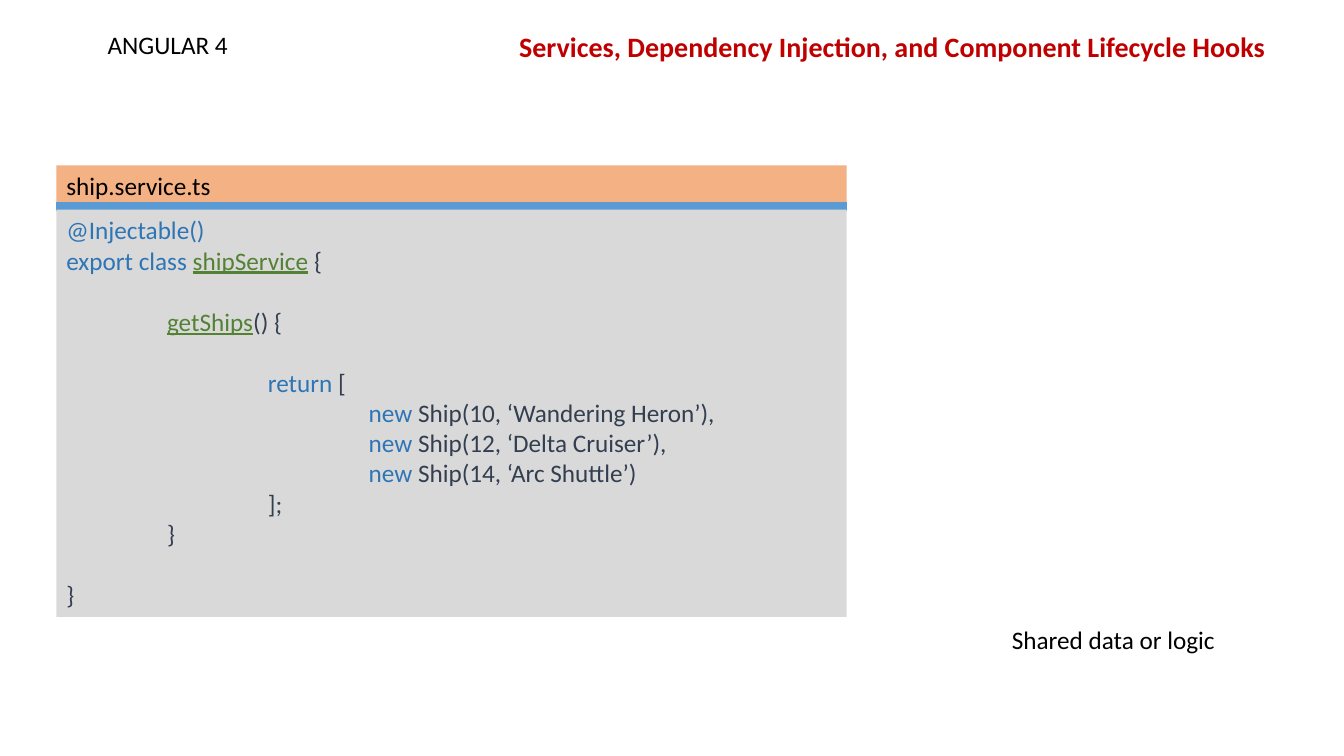
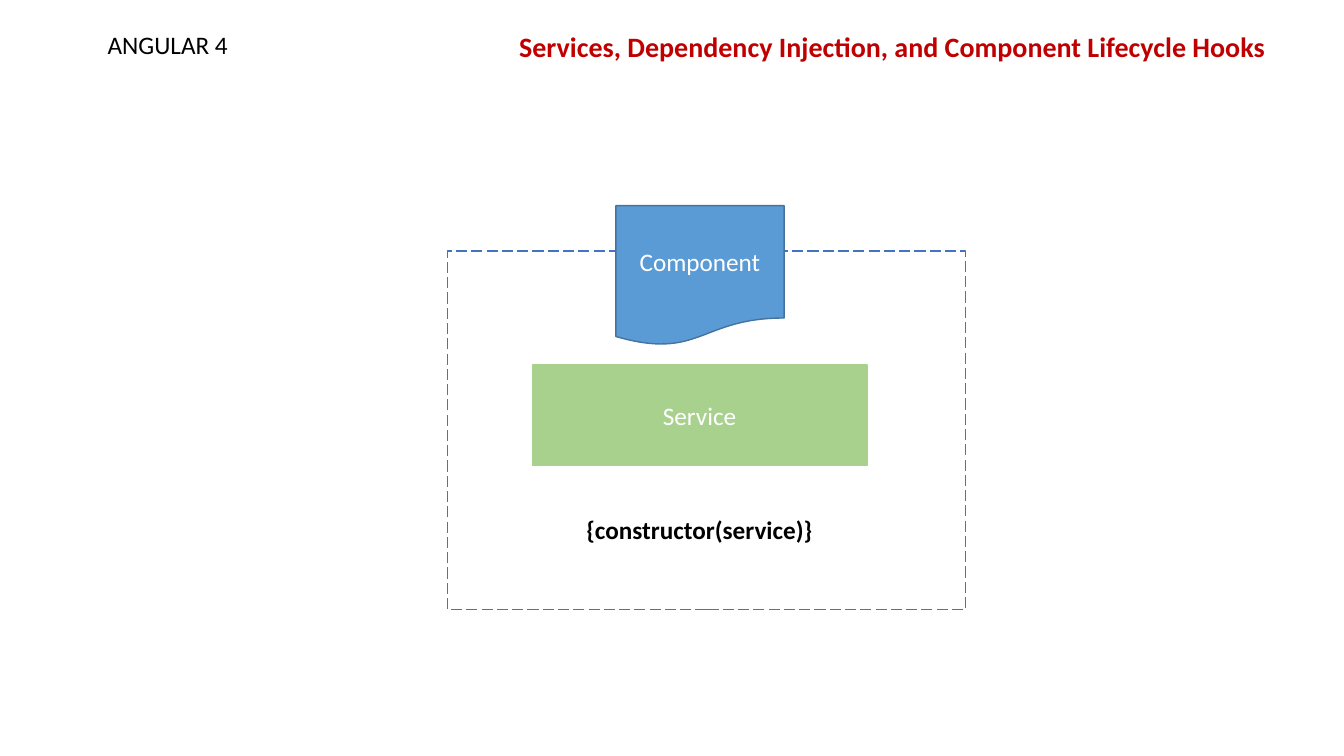
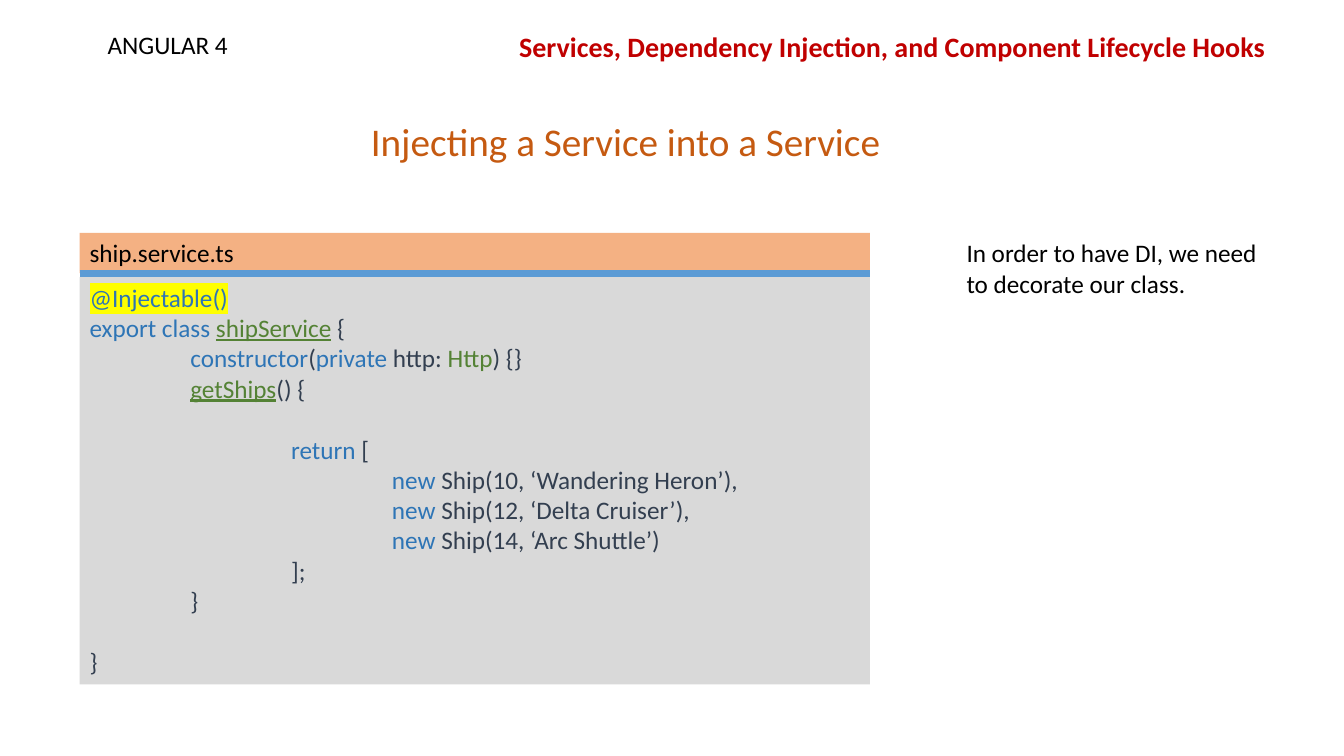
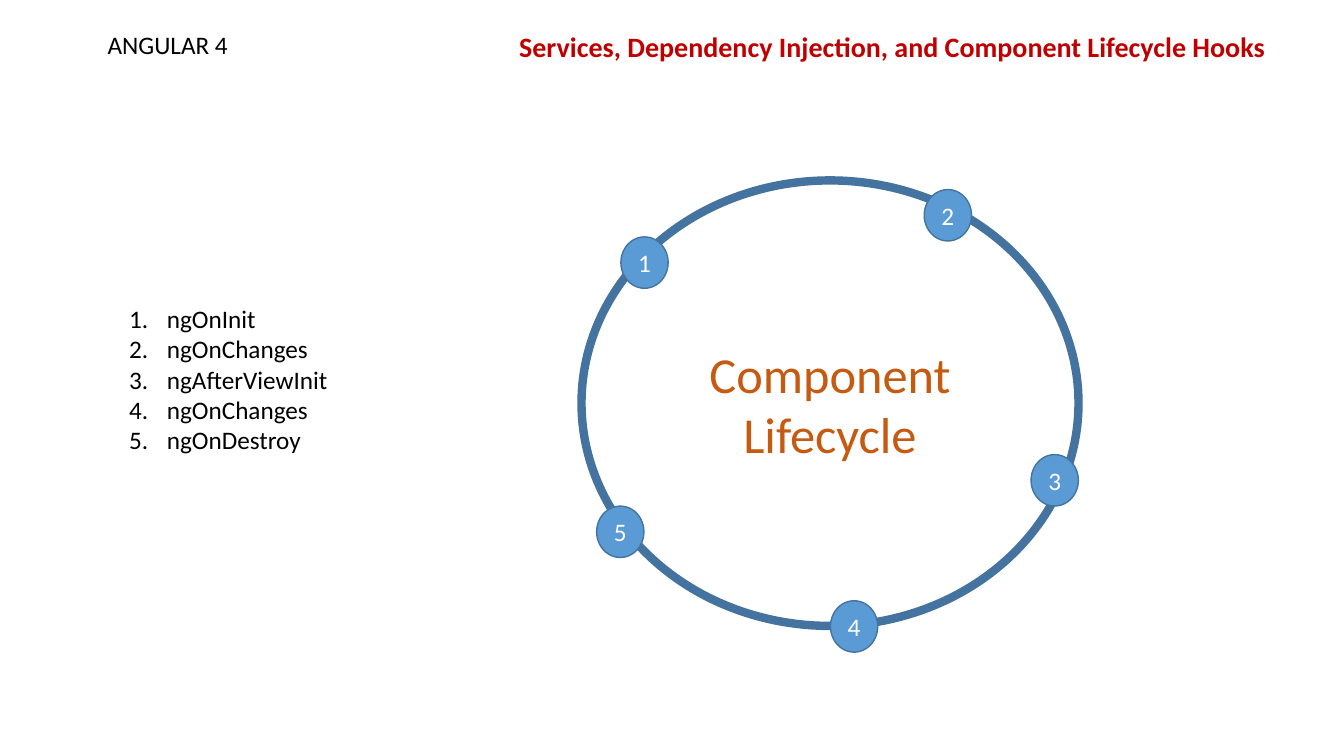
import pptx
import pptx.dml.color
import pptx.enum.dml
import pptx.enum.shapes
import pptx.enum.text
import pptx.oxml
import pptx.oxml.ns
import pptx.util

Pt = pptx.util.Pt
SHAPE = pptx.enum.shapes.MSO_SHAPE
ALIGN = pptx.enum.text.PP_ALIGN
ANCHOR = pptx.enum.text.MSO_ANCHOR
qn = pptx.oxml.ns.qn

FONT = "Calibri"
BLACK, WHITE, RED, RUST = "000000", "FFFFFF", "C00000", "C55A11"
BLUE, DARK_BLUE, DASH_BLUE = "5B9BD5", "43739E", "4472C4"
PEACH, GRAY, GREEN, YELLOW = "F4B183", "D9D9D9", "A9D18E", "FFFF00"
KEYWORD, NAME, CODE = "2E75B6", "548235", "333F50"
LINE_HEIGHT = 22
TAB = 72
TITLE = "Services, Dependency Injection, and Component Lifecycle Hooks"

INJECTABLE = "@Injectable()"
CLASS_LINE = (0, 0, [("export class ", KEYWORD), ("shipService", NAME), (" {", CODE)])
GET_SHIPS = [("getShips", NAME), ("() {", CODE)]
SHIPS = ["Ship(10, ‘Wandering Heron’),", "Ship(12, ‘Delta Cruiser’),", "Ship(14, ‘Arc Shuttle’)"]
RETURN_LINES = [
    (2, 1, [("return", KEYWORD), (" [", CODE)]),
    *[(3, 0, [("new ", KEYWORD), (ship, CODE)]) for ship in SHIPS],
    (2, 0, [("];", CODE)]),
    (1, 0, [("}", CODE)]),
    (0, 1, [("}", CODE)]),
]
CONSTRUCTOR_LINE = (1, 0, [("constructor", KEYWORD), ("(", CODE), ("private", KEYWORD),
                           (" http: ", CODE), ("Http", NAME), (") {}", CODE)])


def rgb(value):
    """Turn a hex string into a colour."""
    return pptx.dml.color.RGBColor.from_string(value)


def write(p, text, size=18, color=BLACK, bold=False, underline=False, highlight=None):
    """Add a formatted run to a paragraph."""
    r = p.add_run()
    r.text = text
    f = r.font
    f.name, f.size, f.bold, f.underline = FONT, Pt(size), bold, underline
    f.color.rgb = rgb(color)
    if highlight:
        mark = pptx.oxml.parse_xml(
            '<a:highlight xmlns:a="http://schemas.openxmlformats.org/drawingml/2006/main">'
            f'<a:srgbClr val="{highlight}"/></a:highlight>')
        r._r.rPr.find(qn("a:solidFill")).addnext(mark)


def paragraph(tf, first, align=ALIGN.LEFT, gap=0):
    """Return the first or a new paragraph with its spacing set."""
    p = tf.paragraphs[0] if first else tf.add_paragraph()
    p.alignment = align
    p.space_before = Pt(gap)
    return p


def fill_text(sp, lines, align=ALIGN.LEFT, anchor=ANCHOR.TOP, wrap=True, **style):
    """Write plain lines into a shape."""
    tf = sp.text_frame
    tf.auto_size = pptx.enum.text.MSO_AUTO_SIZE.NONE
    tf.word_wrap, tf.vertical_anchor = wrap, anchor
    for i, line in enumerate(lines):
        write(paragraph(tf, i == 0, align), line, **style)


def place(sp, x, y, w, h):
    """Move and size a shape in points."""
    sp.left, sp.top, sp.width, sp.height = Pt(x), Pt(y), Pt(w), Pt(h)


def add_text(s, box, text, **style):
    """Add a text box."""
    sp = s.shapes.add_textbox(*map(Pt, box))
    fill_text(sp, [text], **style)
    return sp


def add_shape(s, kind, box, fill=None, line=None, width=1):
    """Add a preset shape with optional fill and outline."""
    sp = s.shapes.add_shape(kind, *map(Pt, box))
    sp.shadow.inherit = False
    if fill:
        sp.fill.solid()
        sp.fill.fore_color.rgb = rgb(fill)
    else:
        sp.fill.background()
    if line:
        sp.line.color.rgb = rgb(line)
        sp.line.width = Pt(width)
    else:
        sp.line.fill.background()
    return sp


def add_label(s, kind, box, lines, color=WHITE, size=18, **look):
    """Add a shape with centred text."""
    sp = add_shape(s, kind, box, **look)
    fill_text(sp, lines, ALIGN.CENTER, ANCHOR.MIDDLE, color=color, size=size)


def add_slide(prs, layout=5):
    """Add a slide with the shared title."""
    s = prs.slides.add_slide(prs.slide_layouts[layout])
    place(s.shapes.title, 363.6, 17.3, 552.2, 31.7)
    fill_text(s.shapes.title, [TITLE], wrap=False, size=20, color=RED, bold=True)
    return s


def brand_master(prs, s):
    """Put the course label on the slide master."""
    sp = add_text(s, (69.8, 17.3, 100.8, 28.8), "ANGULAR 4")
    prs.slide_master.shapes._spTree.append(sp._element)


def code_panel(s, x, y, lines, w=564.5, highlight=None):
    """Draw a file header, a rule and the code below it."""
    header = add_shape(s, SHAPE.RECTANGLE, (x, y, w, 28.8), PEACH)
    fill_text(header, ["ship.service.ts"])
    rule_y = Pt(y + 29.5)
    rule = s.shapes.add_connector(pptx.enum.shapes.MSO_CONNECTOR.STRAIGHT,
                                  Pt(x), rule_y, Pt(x + w), rule_y)
    rule.line.color.rgb = rgb(BLUE)
    rule.line.width = Pt(6)
    rule._element.spPr.append(pptx.oxml.parse_xml(
        '<a:effectLst xmlns:a="http://schemas.openxmlformats.org/drawingml/2006/main"/>'))
    body = add_shape(s, SHAPE.RECTANGLE, (x, y + 31.7, w, 290.9), GRAY)
    tf = body.text_frame
    tf.word_wrap, tf.vertical_anchor = True, ANCHOR.TOP
    write(paragraph(tf, True), INJECTABLE, color=KEYWORD, highlight=highlight)
    for level, gap, runs in lines:
        p = paragraph(tf, False, gap=gap * LINE_HEIGHT)
        p._p.get_or_add_pPr().set("marL", str(Pt(level * TAB)))
        for text, color in runs:
            write(p, text, color=color, underline=color == NAME and text != "Http")


def component_box(s, x, y, w, h):
    """Draw a component that receives a service."""
    frame = add_shape(s, SHAPE.RECTANGLE, (x, y, w, h), line=DASH_BLUE)
    frame.line.dash_style = pptx.enum.dml.MSO_LINE.LONG_DASH
    add_label(s, SHAPE.FLOWCHART_DOCUMENT, (x + 120.2, y - 32.4, 120.2, 100.1),
              ["Component"], fill=BLUE, line=DARK_BLUE)
    add_label(s, SHAPE.RECTANGLE, (x + 60.5, y + 81.4, 239, 72), ["Service"],
              fill=GREEN, line=GREEN)
    add_text(s, (x + 51.8, y + 184.3, 256.3, 28.8), "{constructor(service)}",
             align=ALIGN.CENTER, bold=True)


def hook_list(s, box, hooks):
    """Fill the body placeholder with a numbered list."""
    sp = s.placeholders[1]
    place(sp, *box)
    fill_text(sp, hooks)
    for p in sp.text_frame.paragraphs:
        pPr = p._p.get_or_add_pPr()
        pPr.set("marL", str(Pt(27)))
        pPr.set("indent", str(Pt(-27)))
        font = pptx.oxml.ns.nsdecls("a")
        pPr.append(pptx.oxml.parse_xml(f'<a:buFont {font} typeface="{FONT}"/>'))
        pPr.append(pptx.oxml.parse_xml(f'<a:buAutoNum {font} type="arabicPeriod"/>'))


def lifecycle_ring(s, x, y, w, h):
    """Draw the ring and its numbered stops."""
    add_label(s, SHAPE.OVAL, (x, y, w, h), ["Component", "Lifecycle"],
              color=RUST, size=36, line=DARK_BLUE, width=6)
    stops = [(28.1, 40.3), (244.8, 6.5), (321.1, 195.8), (177.8, 300.2), (10.8, 232.6)]
    for number, (dx, dy) in enumerate(stops, 1):
        add_label(s, SHAPE.OVAL, (x + dx, y + dy, 33.8, 36.7), [str(number)],
                  fill=BLUE, line=DARK_BLUE)


def main():
    """Build and save the slides."""
    prs = pptx.Presentation()
    prs.slide_width, prs.slide_height = Pt(960), Pt(540)

    s = add_slide(prs)
    brand_master(prs, s)
    code_panel(s, 40.3, 118.1, [CLASS_LINE, (1, 1, GET_SHIPS), *RETURN_LINES])
    add_text(s, (715.7, 442.1, 176.4, 28.8), "Shared data or logic")

    s = add_slide(prs)
    component_box(s, 319.7, 179.3, 370.1, 256.3)

    s = add_slide(prs)
    code_panel(s, 56.9, 166.3,
               [CLASS_LINE, CONSTRUCTOR_LINE, (1, 0, GET_SHIPS), *RETURN_LINES],
               highlight=YELLOW)
    add_text(s, (257.8, 80.6, 388.8, 41), "Injecting a Service into a Service",
             size=28, color=RUST)
    add_text(s, (683.3, 166.3, 223.9, 51.1),
             "In order to have DI, we need to decorate our class.")

    s = add_slide(prs, layout=1)
    hook_list(s, (85, 213.1, 256.3, 116.6),
              ["ngOnInit", "ngOnChanges", "ngAfterViewInit", "ngOnChanges", "ngOnDestroy"])
    lifecycle_ring(s, 415.4, 128.9, 355, 318.2)

    prs.save("out.pptx")


if __name__ == "__main__":
    main()
